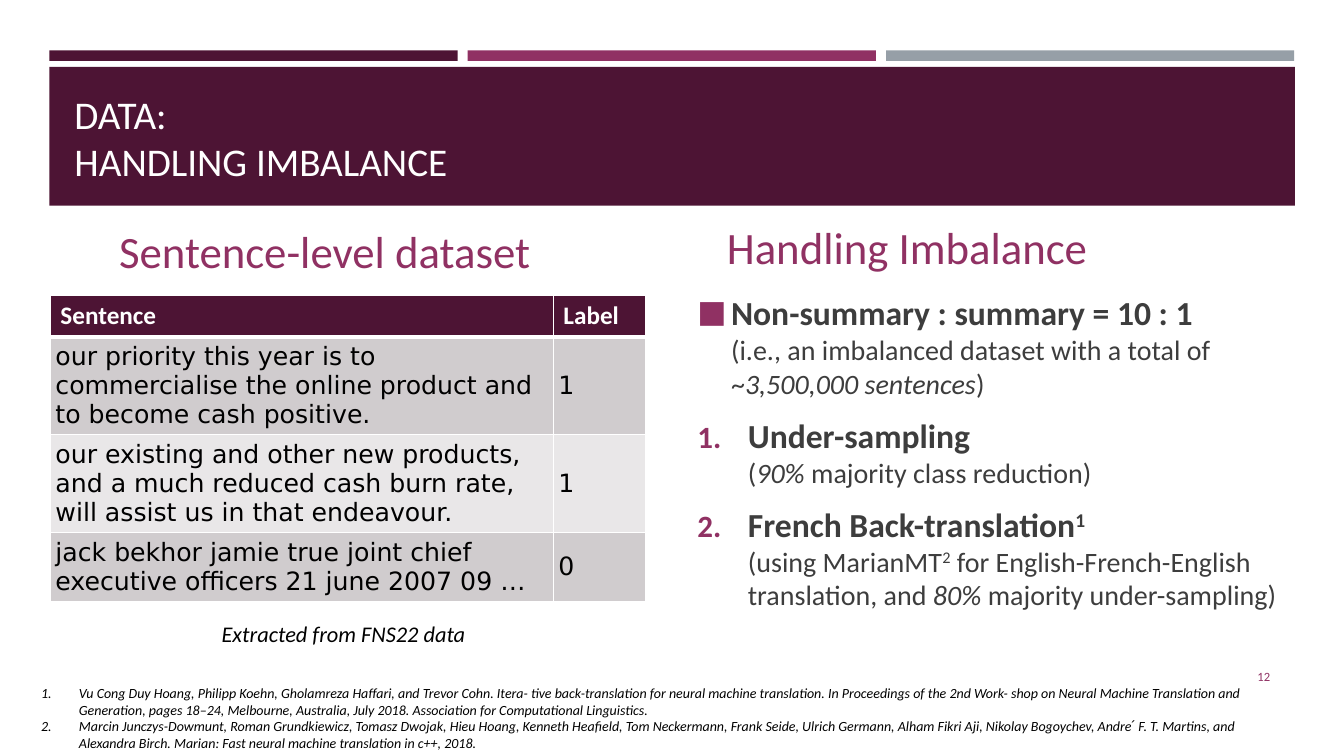
"""Build the slide on handling class imbalance in a sentence-level dataset."""
from copy import deepcopy
from dataclasses import dataclass
from typing import Optional

from lxml import etree
from pptx import Presentation
from pptx.dml.color import RGBColor
from pptx.enum.shapes import MSO_SHAPE
from pptx.enum.text import MSO_ANCHOR, MSO_AUTO_SIZE, PP_ALIGN
from pptx.oxml.ns import qn
from pptx.util import Pt

RECTANGLE = MSO_SHAPE.RECTANGLE
TOP, MIDDLE, BOTTOM = MSO_ANCHOR.TOP, MSO_ANCHOR.MIDDLE, MSO_ANCHOR.BOTTOM
LEFT, RIGHT = PP_ALIGN.LEFT, PP_ALIGN.RIGHT
NO_AUTOFIT = MSO_AUTO_SIZE.NONE

PLUM = RGBColor(0x4D, 0x14, 0x34)
MAGENTA = RGBColor(0x90, 0x31, 0x63)
SLATE = RGBColor(0x96, 0x9F, 0xA7)
CHARCOAL = RGBColor(0x3D, 0x3D, 0x3D)
BLACK = RGBColor(0, 0, 0)
WHITE = RGBColor(0xFF, 0xFF, 0xFF)
ROW_FILLS = (RGBColor(0xD0, 0xCC, 0xCE), RGBColor(0xE9, 0xE7, 0xE8))

COMPARISON_LAYOUT = 4
BODY_FONT, TABLE_FONT = "Calibri", "DejaVu Sans"


@dataclass(frozen=True)
class Box:
    """Position and size in points."""
    left: float
    top: float
    width: float
    height: float


@dataclass(frozen=True)
class Bar:
    """A filled rectangle of the header."""
    box: Box
    color: RGBColor


@dataclass(frozen=True)
class Span:
    """A piece of text with its own emphasis."""
    text: str
    size: Optional[float] = None
    bold: bool = False
    italic: bool = False
    superscript: bool = False


@dataclass(frozen=True)
class ListItem:
    """A list paragraph; no bullet character means automatic numbering."""
    spans: tuple[Span, ...]
    indent: float
    bullet: str = ""


BARS = [
    *(Bar(Box(35.3 + 298.8 * column, 36, 291.6, 7.5), color)
      for column, color in enumerate((PLUM, MAGENTA, SLATE))),
    Bar(Box(35.3, 47.8, 889.7, 99.2), PLUM),
]

STRATEGIES = [
    ListItem((
        Span("Non-summary : summary = 10 : 1\n", 24, bold=True),
        Span("(i.e., an imbalanced dataset with a total of ~"),
        Span("3,500,000 sentences", italic=True),
        Span(")"),
    ), 24, "■"),
    ListItem((
        Span("Under-sampling\n", 24, bold=True),
        Span("("),
        Span("90% ", italic=True),
        Span("majority class reduction)"),
    ), 36),
    ListItem((
        Span("French Back-translation", 24, bold=True),
        Span("1\n", 24, bold=True, superscript=True),
        Span("(using MarianMT"),
        Span("2", superscript=True),
        Span(" for English-French-English translation, and "),
        Span("80%", italic=True),
        Span(" majority under-sampling)"),
    ), 36),
]

REFERENCES = [ListItem((Span(text, italic=True),), 27) for text in (
    "Vu Cong Duy Hoang, Philipp Koehn, Gholamreza Haffari, and Trevor Cohn. Itera- tive "
    "back-translation for neural machine translation. In Proceedings of the 2nd Work- shop on "
    "Neural Machine Translation and Generation, pages 18–24, Melbourne, Australia, July 2018. "
    "Association for Computational Linguistics.",
    "Marcin Junczys-Dowmunt, Roman Grundkiewicz, Tomasz Dwojak, Hieu Hoang, Kenneth Heafield, "
    "Tom Neckermann, Frank Seide, Ulrich Germann, Alham Fikri Aji, Nikolay Bogoychev, "
    "Andre ́ F. T. Martins, and Alexandra Birch. Marian: Fast neural machine translation "
    "in c++, 2018.",
)]

TABLE_ROWS = [
    ("Sentence", "Label"),
    ("our priority this year is to commercialise the online product and to become cash "
     "positive.", "1"),
    ("our existing and other new products, and a much reduced cash burn rate, will assist us "
     "in that endeavour.", "1"),
    ("jack bekhor jamie true joint chief executive officers 21 june 2007 09 …", "0"),
]
COLUMN_WIDTHS = (359.3, 66.2)
ROW_HEIGHTS = (29.5, 70, 70, 49)


def write(paragraph, text: str, *, size: float, color: RGBColor, font: str = BODY_FONT,
          bold: bool = False, italic: bool = False, superscript: bool = False) -> None:
    """Add formatted text, turning a closing newline into a line break."""
    run = paragraph.add_run()
    run.text = text.rstrip("\n")
    run.font.name, run.font.size = font, Pt(size)
    run.font.bold, run.font.italic = bold, italic
    run.font.color.rgb = color
    properties = run._r.get_or_add_rPr()
    if superscript:
        properties.set("baseline", "30000")
    if text.endswith("\n"):
        paragraph.add_line_break()
        paragraph._p[-1].append(deepcopy(properties))


def place(shape, box: Box, anchor=TOP):
    """Move a text shape and return its prepared frame."""
    shape.left, shape.top = Pt(box.left), Pt(box.top)
    shape.width, shape.height = Pt(box.width), Pt(box.height)
    frame = shape.text_frame
    frame.word_wrap, frame.auto_size = True, NO_AUTOFIT
    frame.vertical_anchor = anchor
    return frame


def add_text(slide, box: Box, anchor=TOP):
    """Add a text box and return its frame."""
    return place(slide.shapes.add_textbox(0, 0, 0, 0), box, anchor)


def add_list(frame, items: list[ListItem], *, size: float, color: RGBColor,
             bullet_color: Optional[RGBColor] = None, space_after: float = 0) -> None:
    """Fill a frame with bulleted or numbered paragraphs."""
    for position, item in enumerate(items):
        paragraph = frame.add_paragraph() if position else frame.paragraphs[0]
        paragraph.space_after = Pt(space_after)
        properties = paragraph._p.get_or_add_pPr()
        properties.set("marL", str(Pt(item.indent)))
        properties.set("indent", str(-Pt(item.indent)))
        if bullet_color is not None:
            tint = etree.SubElement(properties, qn("a:buClr"))
            etree.SubElement(tint, qn("a:srgbClr"), val=str(bullet_color))
            etree.SubElement(properties, qn("a:buSzPct"), val="92000")
        etree.SubElement(properties, qn("a:buFont"), typeface=BODY_FONT)
        if item.bullet:
            etree.SubElement(properties, qn("a:buChar"), char=item.bullet)
        else:
            etree.SubElement(properties, qn("a:buAutoNum"), type="arabicPeriod")
        for span in item.spans:
            write(paragraph, span.text, size=span.size or size, color=color, bold=span.bold,
                  italic=span.italic, superscript=span.superscript)


def add_bar(slide, bar: Bar) -> None:
    """Draw a header rectangle behind the placeholders."""
    box = bar.box
    shape = slide.shapes.add_shape(RECTANGLE, Pt(box.left), Pt(box.top), Pt(box.width),
                                   Pt(box.height))
    shape.shadow.inherit = False
    shape.fill.solid()
    shape.fill.fore_color.rgb = bar.color
    shape.line.fill.background()
    slide.shapes._spTree.insert(2, shape._element)


def style_cell(cell, fill: RGBColor, bottom: float) -> None:
    """Give a cell its white borders and fill."""
    properties = cell._tc.get_or_add_tcPr()
    for side, width in (("L", 1), ("R", 1), ("T", 1), ("B", bottom)):
        border = etree.SubElement(properties, qn(f"a:ln{side}"), w=str(Pt(width)))
        solid = etree.SubElement(border, qn("a:solidFill"))
        etree.SubElement(solid, qn("a:srgbClr"), val=str(WHITE))
    cell.fill.solid()
    cell.fill.fore_color.rgb = fill


def add_sentence_table(slide) -> None:
    """Add the table of labelled sentences."""
    table = slide.shapes.add_table(len(TABLE_ROWS), len(COLUMN_WIDTHS), Pt(36), Pt(211),
                                   Pt(sum(COLUMN_WIDTHS)), Pt(sum(ROW_HEIGHTS))).table
    for column, width in zip(table.columns, COLUMN_WIDTHS):
        column.width = Pt(width)
    for index, texts in enumerate(TABLE_ROWS):
        table.rows[index].height = Pt(ROW_HEIGHTS[index])
        header = index == 0
        for column, text in enumerate(texts):
            cell = table.cell(index, column)
            style_cell(cell, PLUM if header else ROW_FILLS[(index - 1) % 2], 3 if header else 1)
            if not header:
                cell.vertical_anchor = MIDDLE
                cell.margin_left = cell.margin_right = Pt(3.6)
                cell.margin_top = cell.margin_bottom = Pt(3.6)
            write(cell.text_frame.paragraphs[0], text, size=18, bold=header,
                  color=WHITE if header else BLACK, font=BODY_FONT if header else TABLE_FONT)


def main() -> None:
    """Compose and save the slide."""
    presentation = Presentation()
    presentation.slide_width, presentation.slide_height = Pt(960), Pt(540)
    slide = presentation.slides.add_slide(presentation.slide_layouts[COMPARISON_LAYOUT])
    title, left_heading, left_content, right_heading, right_content = slide.placeholders
    left_content._element.getparent().remove(left_content._element)
    for bar in BARS:
        add_bar(slide, bar)

    paragraph = place(title, Box(46, 57.6, 868, 77.8), BOTTOM).paragraphs[0]
    paragraph.alignment = LEFT
    for line in ("DATA: \n", "HANDLING IMBALANCE"):
        write(paragraph, line, size=28, color=WHITE)

    for heading, box, text in (
        (left_heading, Box(77.8, 159.1, 400.3, 42.5), "Sentence-level dataset"),
        (right_heading, Box(512, 154.8, 342.7, 43.9), "Handling Imbalance"),
    ):
        paragraph = place(heading, box, BOTTOM).paragraphs[0]
        paragraph.space_after = Pt(6)
        write(paragraph, text, size=32, color=MAGENTA)

    add_list(place(right_content, Box(491, 205.2, 444.2, 260.6)), STRATEGIES, size=20,
             color=CHARCOAL, bullet_color=MAGENTA, space_after=6)
    add_sentence_table(slide)

    paragraph = add_text(slide, Box(831.6, 468.7, 82.8, 28.8), MIDDLE).paragraphs[0]
    paragraph.alignment = RIGHT
    write(paragraph, "12", size=9, color=MAGENTA)

    caption = add_text(slide, Box(151.2, 439.2, 226.8, 26.6))
    write(caption.paragraphs[0], "Extracted from FNS22 data", size=16, color=BLACK, italic=True)
    add_list(add_text(slide, Box(22.3, 485.3, 886.3, 55.4)), REFERENCES, size=10, color=BLACK)
    presentation.save("out.pptx")


if __name__ == "__main__":
    main()
